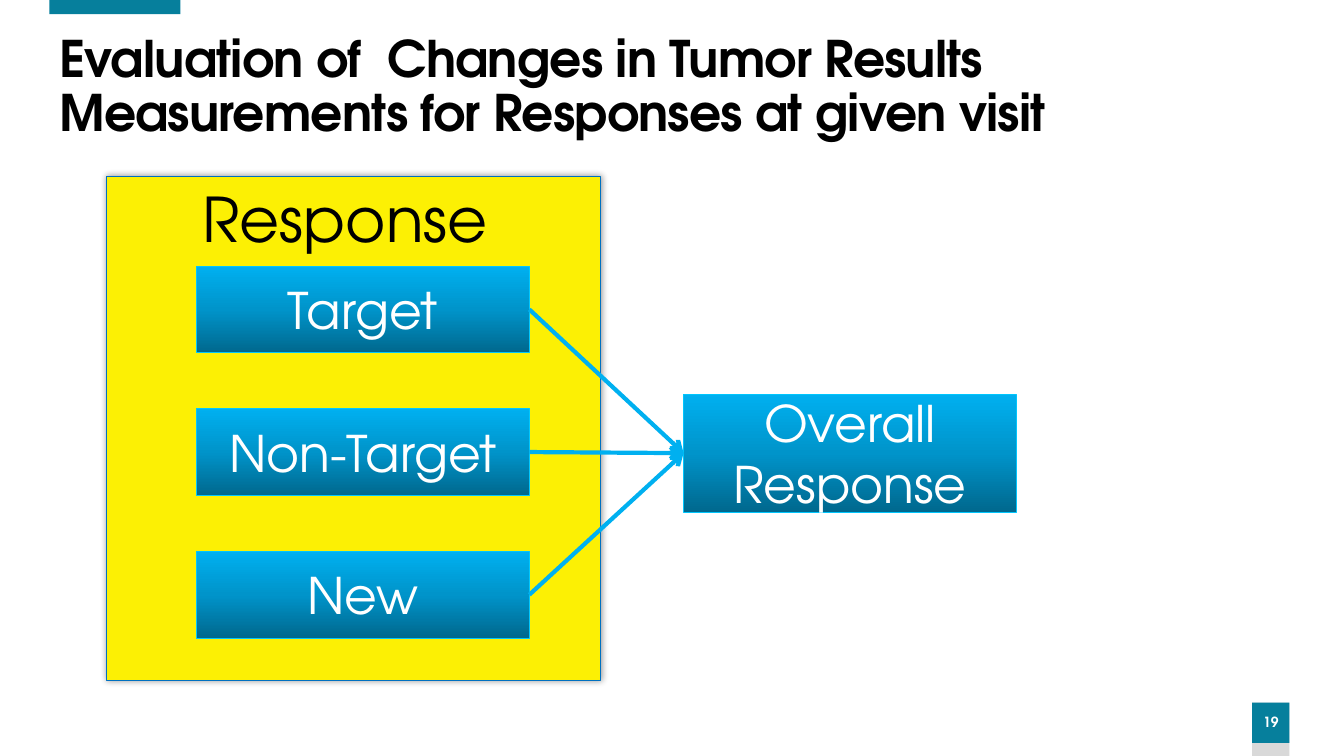
"""Build the slide on how lesion responses feed the overall response."""
from copy import deepcopy
from dataclasses import dataclass

from lxml.etree import SubElement
from pptx import Presentation
from pptx.dml.color import RGBColor
from pptx.enum.shapes import MSO_CONNECTOR, MSO_SHAPE
from pptx.enum.text import MSO_ANCHOR, MSO_AUTO_SIZE, PP_ALIGN
from pptx.oxml.ns import qn
from pptx.shapes.autoshape import Shape
from pptx.slide import Slide
from pptx.text.text import _Paragraph as Paragraph
from pptx.util import Inches, Pt

FONT = "TeX Gyre Adventor"
TEAL = "067F9C"
GRADIENT = ((0, "00688E"), (0.5, "0094CA"), (1, "00B0F0"))


@dataclass(frozen=True)
class Box:
    left: float
    top: float
    width: float
    height: float
    text: str = ""


BADGE_BASE = Box(12.42, 6.97, 0.37, 0.53)
BADGE = Box(12.42, 6.97, 0.37, 0.4, "19")
TOP_TAB = Box(0.49, 0, 1.3, 0.14)
TITLE = Box(0.49, 0.55, 12.22, 0.65,
            "Evaluation of  Changes in Tumor Results Measurements for Responses at given visit")
PANEL = Box(1.06, 1.75, 4.9, 5, "Response ")
LESIONS = [Box(1.95, 2.64 + 1.415 * row, 3.3, 0.86, text)
           for row, text in enumerate(("Target", "Non-Target", "New"))]
OVERALL = Box(6.78, 3.91, 3.3, 1.17, "Overall Response")


def rgb(color: str) -> RGBColor:
    return RGBColor.from_string(color)


def style(paragraph: Paragraph, size: float, color: str, bold: bool = False) -> None:
    font = paragraph.font
    font.name, font.size, font.bold = FONT, Pt(size), bold
    font.color.rgb = rgb(color)


def place(shape: Shape, box: Box) -> None:
    shape.left, shape.top = Inches(box.left), Inches(box.top)
    shape.width, shape.height = Inches(box.width), Inches(box.height)


def add_rect(slide: Slide, box: Box, fill: str = "", line: str = "",
             size: float = 36, color: str = "FFFFFF", bold: bool = False) -> Shape:
    rect = slide.shapes.add_shape(MSO_SHAPE.RECTANGLE, 0, 0, 0, 0)
    place(rect, box)
    rect.shadow.inherit = False
    if fill:
        rect.fill.solid()
        rect.fill.fore_color.rgb = rgb(fill)
    if line:
        rect.line.color.rgb = rgb(line)
        rect.line.width = Pt(0.5)
    else:
        rect.line.fill.background()
    if box.text:
        frame = rect.text_frame
        frame.text, frame.word_wrap = box.text, True
        frame.vertical_anchor = MSO_ANCHOR.MIDDLE
        frame.paragraphs[0].alignment = PP_ALIGN.CENTER
        style(frame.paragraphs[0], size, color, bold)
    return rect


def add_gradient_box(slide: Slide, box: Box) -> Shape:
    rect = add_rect(slide, box, line="01C6FD")
    rect.fill.gradient()
    rect.fill.gradient_angle = 90
    stop_list = rect._element.spPr.find(".//" + qn("a:gsLst"))
    stop_list.insert(1, deepcopy(stop_list[0]))
    for stop, (position, color) in zip(rect.fill.gradient_stops, GRADIENT):
        stop.position = position
        stop.color.rgb = rgb(color)
    return rect


def add_glow_shadow(shape: Shape) -> None:
    effects = shape._element.spPr.find(qn("a:effectLst"))
    shadow = SubElement(effects, qn("a:outerShdw"), blurRad=str(Pt(5)), dist="0", dir="0",
                        algn="ctr", rotWithShape="0")
    tint = SubElement(shadow, qn("a:srgbClr"), val="000000")
    SubElement(tint, qn("a:alpha"), val="40000")


def add_arrow(slide: Slide, source: Shape, target: Shape) -> None:
    arrow = slide.shapes.add_connector(MSO_CONNECTOR.STRAIGHT, 0, 0, 0, 0)
    arrow.begin_connect(source, 3)
    arrow.end_connect(target, 1)
    arrow.line.color.rgb = rgb("00B0F0")
    arrow.line.width = Pt(3)
    SubElement(arrow.line._get_or_add_ln(), qn("a:tailEnd"), type="arrow")
    SubElement(arrow._element.spPr, qn("a:effectLst"))


def add_title(slide: Slide) -> None:
    title = slide.shapes.title
    place(title, TITLE)
    frame = title.text_frame
    frame.text, frame.word_wrap = TITLE.text, True
    frame.auto_size = MSO_AUTO_SIZE.SHAPE_TO_FIT_TEXT
    frame.vertical_anchor = MSO_ANCHOR.MIDDLE
    heading = frame.paragraphs[0]
    heading.alignment, heading.line_spacing = PP_ALIGN.LEFT, 0.9
    style(heading, 36, "000000", bold=True)
    heading.runs[0].font._element.set("spc", "-60")


def add_page_badge(slide: Slide) -> None:
    add_rect(slide, BADGE_BASE, "D9D9D9")
    frame = add_rect(slide, BADGE, TEAL, size=10, bold=True).text_frame
    frame.margin_left = frame.margin_right = 0
    number = frame.paragraphs[0]
    number.line_spacing, number.space_before = 0.9, Pt(10)


def main() -> None:
    deck = Presentation()
    deck.slide_width, deck.slide_height = Inches(13.33), Inches(7.5)
    slide = deck.slides.add_slide(deck.slide_layouts[5])
    add_page_badge(slide)
    add_rect(slide, TOP_TAB, TEAL)
    add_title(slide)
    panel = add_rect(slide, PANEL, "FCF004", "0070C0", 44, "000000")
    panel.text_frame.vertical_anchor = MSO_ANCHOR.TOP
    add_glow_shadow(panel)
    lesions = [add_gradient_box(slide, box) for box in LESIONS]
    overall = add_gradient_box(slide, OVERALL)
    for lesion in lesions:
        add_arrow(slide, lesion, overall)
    deck.save("out.pptx")


if __name__ == "__main__":
    main()
